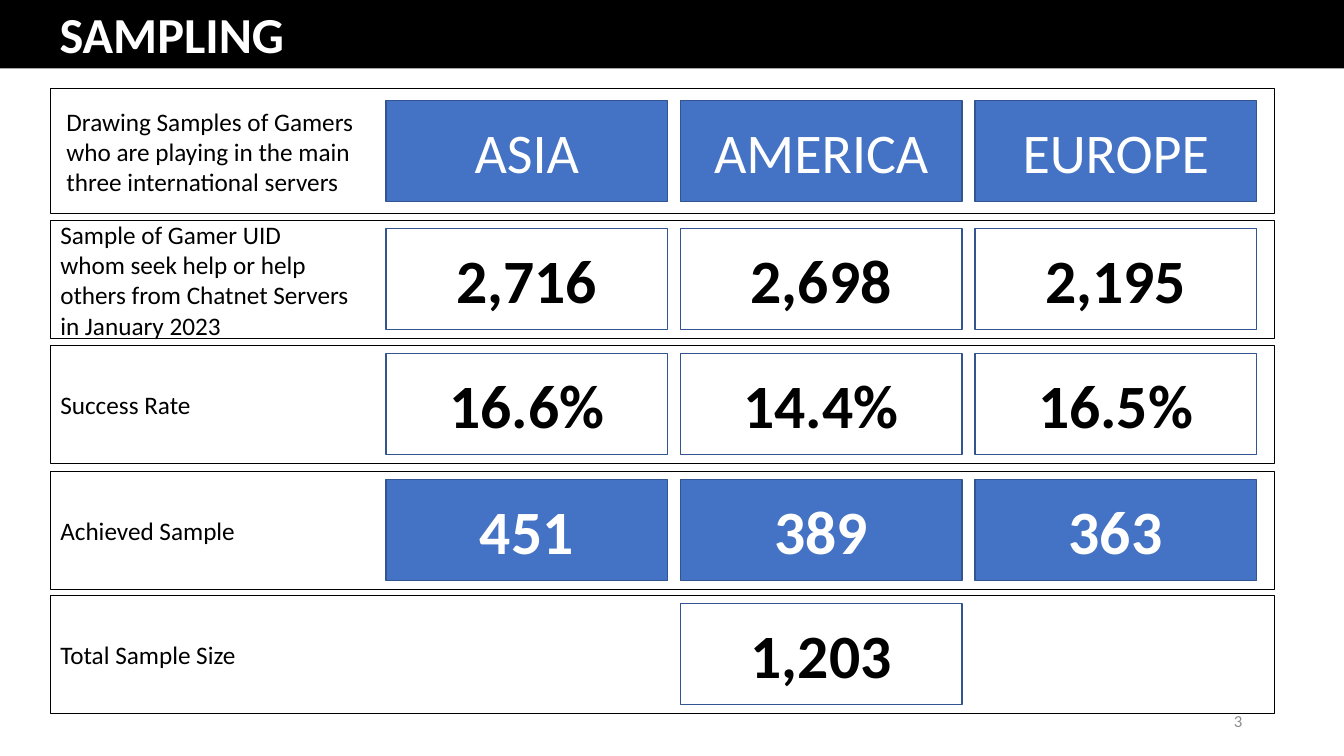
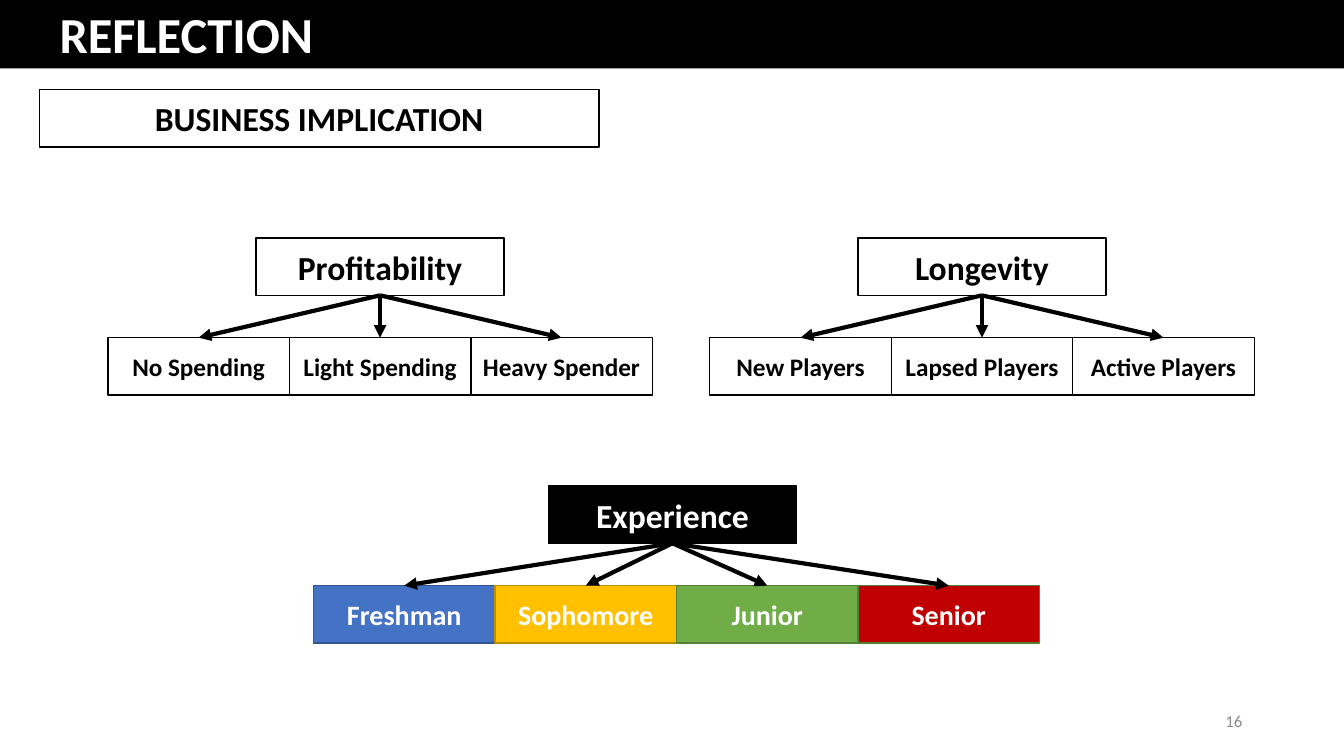
from dataclasses import dataclass

from lxml import etree
from pptx import Presentation
from pptx.dml.color import RGBColor
from pptx.enum.shapes import MSO_CONNECTOR, MSO_SHAPE
from pptx.enum.text import MSO_ANCHOR, MSO_AUTO_SIZE, PP_ALIGN
from pptx.oxml.ns import qn
from pptx.util import Pt

RECTANGLE = MSO_SHAPE.RECTANGLE
STRAIGHT = MSO_CONNECTOR.STRAIGHT
MIDDLE = MSO_ANCHOR.MIDDLE
NO_AUTOFIT = MSO_AUTO_SIZE.NONE
LEFT, CENTER, RIGHT = PP_ALIGN.LEFT, PP_ALIGN.CENTER, PP_ALIGN.RIGHT
TOP_SIDE, BOTTOM_SIDE = 0, 2

EMU_PER_PX = 9144  # 100 px to the inch
FONT = "Calibri"
COLORS = {
    "black": "000000",
    "white": "FFFFFF",
    "grey": "8C8C8C",
    "blue": "4472C4",
    "blue_edge": "325491",
    "gold": "FFC000",
    "gold_edge": "BD8E00",
    "green": "70AD47",
    "green_edge": "538035",
    "red": "C00000",
}


@dataclass(frozen=True)
class Box:
    left: int
    top: int
    width: int
    height: int


@dataclass(frozen=True)
class Style:
    size: int
    color: str = "black"
    bold: bool = True
    fill: str | None = None
    edge: str | None = "black"
    align: PP_ALIGN = CENTER
    inset: int = 10


@dataclass(frozen=True)
class SampleRow:
    top: int
    height: int
    label: list[str]
    values: dict[int, str]  # column number to value
    style: Style
    inset: int = 10


@dataclass(frozen=True)
class Tree:
    root: str
    root_box: Box
    root_style: Style
    branch_left: int
    branch_top: int
    branches: list[tuple[str, Style]]


# Shared styles
TITLE = Style(36, "white", fill="black", edge=None, align=LEFT, inset=60)
PAGE_NUMBER = Style(12, "grey", bold=False, align=RIGHT)
HEADING = Style(24, fill="white")
BRANCH = Style(18, fill="white")
REGION = Style(40, "white", bold=False, fill="blue", edge="blue_edge")
FIGURE = Style(44, edge="blue_edge")
KEY_FIGURE = Style(44, "white", fill="blue", edge="blue_edge")

TITLE_BAND = Box(-1, -2, 1334, 70)
PAGE_NUMBER_BOX = Box(942, 695, 300, 40)

# Sampling grid
ROW_LEFT, ROW_WIDTH = 50, 1214
VALUE_LEFT, VALUE_STEP, VALUE_WIDTH, VALUE_HEIGHT = 383, 292, 279, 100
SAMPLE_ROWS = [
    SampleRow(88, 124, ["Drawing Samples of Gamers", "who are playing in the main",
                        "three international servers"],
              {0: "ASIA", 1: "AMERICA", 2: "EUROPE"}, REGION, inset=16),
    SampleRow(219, 117, ["Sample of Gamer UID", "whom seek help or help",
                         "others from Chatnet Servers", "in January 2023"],
              {0: "2,716", 1: "2,698", 2: "2,195"}, FIGURE),
    SampleRow(343, 117, ["Success Rate"],
              {0: "16.6%", 1: "14.4%", 2: "16.5%"}, FIGURE),
    SampleRow(468, 117, ["Achieved Sample"],
              {0: "451", 1: "389", 2: "363"}, KEY_FIGURE),
    SampleRow(591, 117, ["Total Sample Size"], {1: "1,203"}, FIGURE),
]

# Reflection trees
BRANCH_WIDTH, BRANCH_HEIGHT = 180, 57
TREES = [
    Tree("Profitability", Box(254, 236, 246, 57), HEADING, 107, 335,
         [(name, BRANCH) for name in ("No Spending", "Light Spending", "Heavy Spender")]),
    Tree("Longevity", Box(851, 236, 246, 57), HEADING, 704, 335,
         [(name, BRANCH) for name in ("New Players", "Lapsed Players", "Active Players")]),
    Tree("Experience", Box(544, 482, 246, 57), Style(24, "white", fill="black"), 311, 581,
         [(name, Style(20, "white", fill=fill, edge=edge)) for name, fill, edge in (
             ("Freshman", "blue", "blue_edge"),
             ("Sophomore", "gold", "gold_edge"),
             ("Junior", "green", "green_edge"),
             ("Senior", "red", "green_edge"))]),
]


def px(length: int) -> int:
    return length * EMU_PER_PX


def rgb(name: str) -> RGBColor:
    return RGBColor.from_string(COLORS[name])


def place(shape, box: Box) -> None:
    shape.left, shape.top = px(box.left), px(box.top)
    shape.width, shape.height = px(box.width), px(box.height)


def paint(shape, style: Style) -> None:
    if style.fill:
        shape.fill.solid()
        shape.fill.fore_color.rgb = rgb(style.fill)
    else:
        shape.fill.background()
    if style.edge:
        shape.line.color.rgb = rgb(style.edge)
        shape.line.width = Pt(1)
    else:
        shape.line.fill.background()


def write(shape, lines: list[str], style: Style) -> None:
    frame = shape.text_frame
    frame.word_wrap = True
    frame.auto_size = NO_AUTOFIT
    frame.vertical_anchor = MIDDLE
    frame.margin_left, frame.margin_right = px(style.inset), px(10)
    frame.margin_top = frame.margin_bottom = px(5)
    for number, line in enumerate(lines):
        paragraph = frame.add_paragraph() if number else frame.paragraphs[0]
        paragraph.alignment = style.align
        run = paragraph.add_run()
        run.text = line
        run.font.name = FONT
        run.font.size = Pt(style.size)
        run.font.bold = style.bold
        run.font.color.rgb = rgb(style.color)


def add_box(slide, box: Box, lines: list[str], style: Style):
    shape = slide.shapes.add_shape(RECTANGLE, 0, 0, 0, 0)
    place(shape, box)
    shape.shadow.inherit = False
    paint(shape, style)
    write(shape, lines, style)
    return shape


def add_arrow(slide, parent, child) -> None:
    arrow = slide.shapes.add_connector(STRAIGHT, 0, 0, 0, 0)
    arrow.begin_connect(parent, BOTTOM_SIDE)
    arrow.end_connect(child, TOP_SIDE)
    arrow.line.color.rgb = rgb("black")
    arrow.line.width = Pt(3)
    properties = arrow.element.spPr
    etree.SubElement(properties.find(qn("a:ln")), qn("a:tailEnd"), type="triangle")
    etree.SubElement(properties, qn("a:effectLst"))


def add_titled_slide(deck, title: str, page: int):
    slide = deck.slides.add_slide(deck.slide_layouts.get_by_name("Title Only"))
    band = slide.shapes.title
    place(band, TITLE_BAND)
    paint(band, TITLE)
    write(band, [title], TITLE)
    page_number = slide.shapes.add_textbox(0, 0, 0, 0)
    place(page_number, PAGE_NUMBER_BOX)
    write(page_number, [str(page)], PAGE_NUMBER)
    return slide


def add_sample_row(slide, row: SampleRow) -> None:
    label_style = Style(18, bold=False, align=LEFT, inset=row.inset)
    add_box(slide, Box(ROW_LEFT, row.top, ROW_WIDTH, row.height), row.label, label_style)
    value_top = row.top + (row.height - VALUE_HEIGHT) // 2
    for column, value in row.values.items():
        value_left = VALUE_LEFT + column * VALUE_STEP
        add_box(slide, Box(value_left, value_top, VALUE_WIDTH, VALUE_HEIGHT), [value], row.style)


def add_tree(slide, tree: Tree) -> None:
    root = add_box(slide, tree.root_box, [tree.root], tree.root_style)
    branches = [
        add_box(slide, Box(tree.branch_left + number * BRANCH_WIDTH, tree.branch_top,
                           BRANCH_WIDTH, BRANCH_HEIGHT), [name], style)
        for number, (name, style) in enumerate(tree.branches)
    ]
    for branch in branches:
        add_arrow(slide, root, branch)


def main() -> None:
    deck = Presentation()
    deck.slide_width, deck.slide_height = px(1333), px(750)

    # Sampling
    sampling = add_titled_slide(deck, "SAMPLING", 3)
    for row in SAMPLE_ROWS:
        add_sample_row(sampling, row)

    # Reflection
    reflection = add_titled_slide(deck, "REFLECTION", 16)
    add_box(reflection, Box(39, 89, 555, 57), ["BUSINESS IMPLICATION"], HEADING)
    for tree in TREES:
        add_tree(reflection, tree)

    deck.save("out.pptx")


if __name__ == "__main__":
    main()
